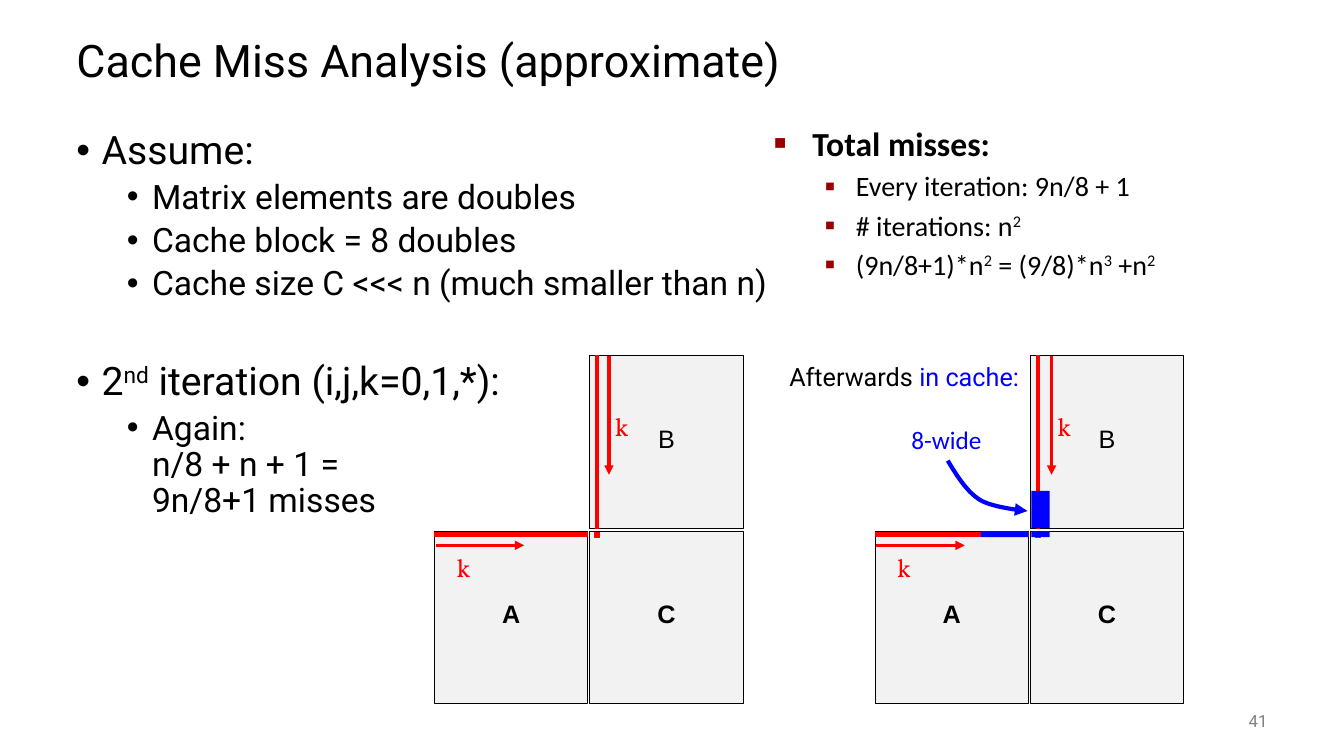
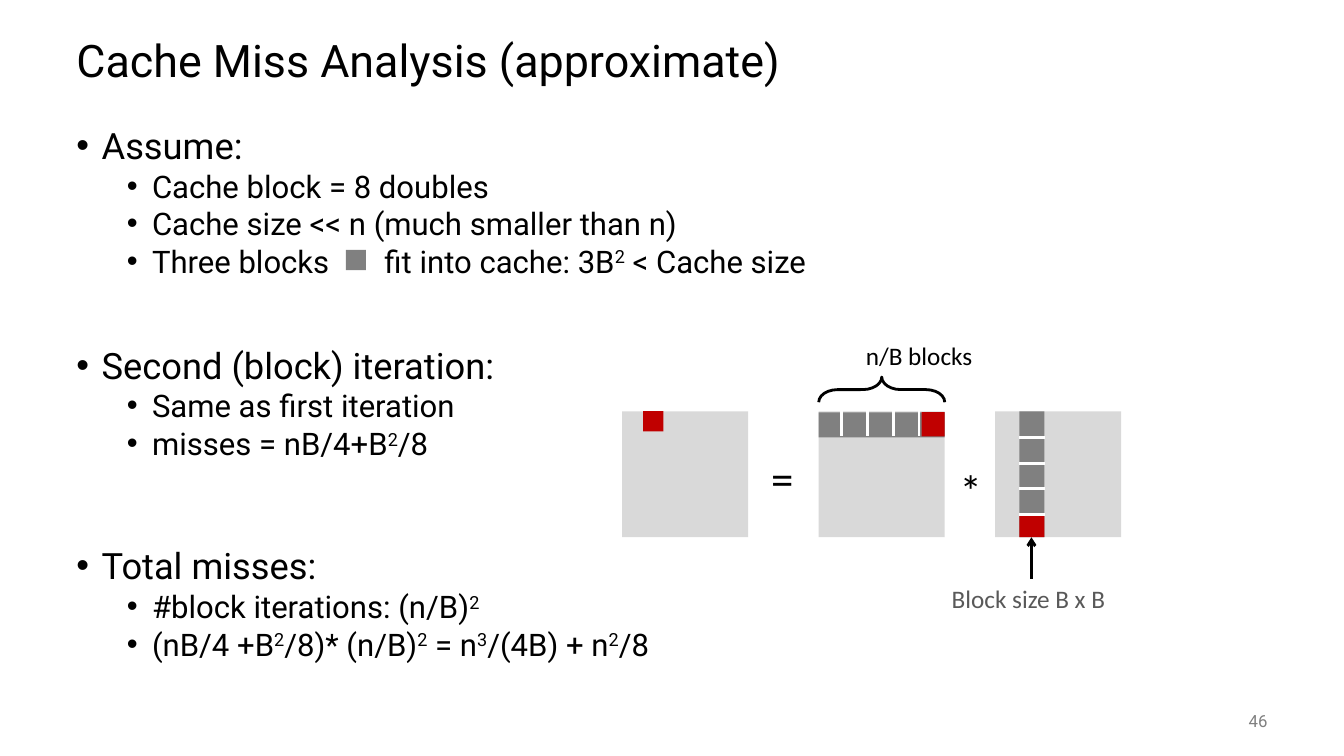
from dataclasses import dataclass

from lxml import etree
from pptx import Presentation
from pptx.dml.color import RGBColor
from pptx.enum import shapes, text
from pptx.oxml.ns import qn
from pptx.util import Inches, Pt


@dataclass(frozen=True)
class Theme:
    black: str = "000000"
    white: str = "FFFFFF"
    red: str = "FF0000"
    blue: str = "0000FF"
    matrix: str = "F2F2F2"
    panel: str = "D9D9D9"
    block: str = "808080"
    current: str = "C00000"
    caption: str = "595959"
    bullet: str = "990000"
    main: str = "Roboto"
    note: str = "Calibri"
    letter: str = "Arial"
    index: str = "Vollkorn"
    title_size: float = 32
    label_size: float = 18
    page_size: float = 12


THEME = Theme()
TITLE = "Cache Miss Analysis (approximate)"

NAIVE_OUTLINE = {
    1.25: [
        (0, "Assume:"),
        (1, "Matrix elements are doubles"),
        (1, "Cache block = 8 doubles"),
        (1, "Cache size C <<< n (much smaller than n)"),
    ],
    3.54: [
        (0, "2^nd^ iteration (i,j,k=0,1,*):"),
        (1, "Again:\nn/8 + n + 1 =\n9n/8+1 misses"),
    ],
}
NAIVE_TOTAL = [
    (0, "Total misses:"),
    (1, "Every iteration: 9n/8 + 1"),
    (1, "# iterations: n^2^"),
    (1, "(9n/8+1)*n^2^ = (9/8)*n^3^ +n^2^"),
]
BLOCKED_OUTLINE = {
    1.25: [
        (0, "Assume:"),
        (1, "Cache block = 8 doubles"),
        (1, "Cache size << n (much smaller than n)"),
        (1, "Three blocks^ ^fit into cache: 3B^2^ < Cache size"),
    ],
    3.43: [
        (0, "Second (block) iteration:"),
        (1, "Same as first iteration"),
        (1, "misses = nB/4+B^2^/8"),
    ],
    5.42: [
        (0, "Total misses:"),
        (1, "#block iterations: (n/B)^2^"),
        (1, "(nB/4 +B^2^/8)* (n/B)^2^ = n^3^/(4B) + n^2^/8"),
    ],
}

NAIVE_LEVELS = [
    dict(size=28, margin=0.25, hang=0.25, before=14, spacing=0.9, bullet="•"),
    dict(size=24, margin=0.75, hang=0.25, before=5, spacing=0.9, bullet="•"),
]
BLOCKED_LEVELS = [
    dict(NAIVE_LEVELS[0], size=25.9, spacing=0.82),
    dict(NAIVE_LEVELS[1], size=22.2, spacing=0.82),
]
TOTAL_LEVELS = [
    dict(size=24, bold=True, margin=0.38, hang=0.38, before=4.8,
         bullet="■", bullet_color=THEME.bullet, bullet_scale=60),
    dict(size=20, margin=0.81, hang=0.31, before=4,
         bullet="▪", bullet_color=THEME.bullet, bullet_scale=110),
]

ICON_GAP = 33.8
MATRIX_LETTERS = [("A", 0, 1, True), ("B", 1, 0, False), ("C", 1, 1, True)]


def child(parent, tag, **attributes):
    return etree.SubElement(parent, qn(tag), attributes)


def add_bullet(paragraph, mark, color, scale):
    properties = paragraph._p.get_or_add_pPr()
    if color:
        child(child(properties, "a:buClr"), "a:srgbClr", val=color)
    if scale:
        child(properties, "a:buSzPct", val=str(scale * 1000))
    child(properties, "a:buFont", typeface="Arial")
    child(properties, "a:buChar", char=mark)


def write(paragraph, words, *, size=THEME.label_size, font=THEME.main,
          color=THEME.black, accent=None, bold=False, align=None, margin=0,
          hang=0, before=0, spacing=None, bullet=None, bullet_color=None,
          bullet_scale=None):
    if align is not None:
        paragraph.alignment = align
    if spacing:
        paragraph.line_spacing = spacing
    paragraph.space_before = Pt(before)
    if bullet:
        properties = paragraph._p.get_or_add_pPr()
        properties.set("marL", str(Inches(margin)))
        properties.set("indent", str(Inches(-hang)))
        add_bullet(paragraph, bullet, bullet_color, bullet_scale)
    for position, piece in enumerate(words.split("^")):
        marked = position % 2 == 1
        for row, line in enumerate(piece.split("\n")):
            if row:
                paragraph.add_line_break()
            if not line:
                continue
            run = paragraph.add_run()
            run.text = line
            run.font.size, run.font.name, run.font.bold = Pt(size), font, bold
            tint = accent if marked and accent else color
            run.font.color.rgb = RGBColor.from_string(tint)
            if marked and line == " ":
                run._r.get_or_add_rPr().set("spc", str(round(ICON_GAP * 100)))
            elif marked and not accent:
                run._r.get_or_add_rPr().set("baseline", "30000")


def add_text(slide, words, at, *, wrap=True, anchor=text.MSO_ANCHOR.TOP, **style):
    frame = slide.shapes.add_textbox(*map(Inches, at)).text_frame
    frame.word_wrap = wrap
    frame.vertical_anchor = anchor
    write(frame.paragraphs[0], words, **style)
    return frame


def add_outline(slide, items, at, levels, font=THEME.main):
    (_, heading), *rest = items
    frame = add_text(slide, heading, at, font=font, **dict(levels[0], before=0))
    for level, words in rest:
        paragraph = frame.add_paragraph()
        paragraph.level = level
        write(paragraph, words, font=font, **levels[level])


def add_rect(slide, at, fill, border=None):
    rect = slide.shapes.add_shape(shapes.MSO_SHAPE.RECTANGLE, *map(Inches, at))
    rect.shadow.inherit = False
    rect.fill.solid()
    rect.fill.fore_color.rgb = RGBColor.from_string(fill)
    if border:
        set_line(rect, border, 0.75)
    else:
        rect.line.fill.background()
    return rect


def set_line(shape, color, width, head=None):
    shape.line.color.rgb = RGBColor.from_string(color)
    shape.line.width = Pt(width)
    if head:
        child(shape.line._get_or_add_ln(), "a:tailEnd", type=head)


def add_line(slide, start, end, color, width, head=None):
    line = slide.shapes.add_connector(
        shapes.MSO_CONNECTOR.STRAIGHT, *map(Inches, (*start, *end)))
    set_line(line, color, width, head)
    child(line._element.spPr, "a:effectLst")


def add_curve(slide, controls, color, width, head, steps=20):
    weights = (1, 3, 3, 1)
    points = []
    for curve in controls:
        for step in range(steps + 1):
            t = step / steps
            points.append(tuple(
                Inches(sum(w * (1 - t) ** (3 - i) * t ** i * p[axis]
                           for i, (w, p) in enumerate(zip(weights, curve))))
                for axis in (0, 1)))
    builder = slide.shapes.build_freeform(*points[0])
    builder.add_line_segments(points[1:], close=False)
    curve = builder.convert_to_shape()
    curve.shadow.inherit = False
    curve.fill.background()
    set_line(curve, color, width, head)


def new_slide(deck, number):
    slide = deck.slides.add_slide(deck.slide_layouts[6])
    middle = text.MSO_ANCHOR.MIDDLE
    add_text(slide, TITLE, (0.66, 0.25, 12, 0.75), anchor=middle,
             size=THEME.title_size, spacing=0.9)
    add_text(slide, str(number), (11.67, 6.95, 1, 0.4), anchor=middle,
             size=THEME.page_size, color=THEME.block, align=text.PP_ALIGN.RIGHT)
    return slide


def add_matrices(slide, left, arrow):
    top, width, height = 3.53, 1.52, 1.71
    column, row = left + 1.54, top + 1.74
    for letter, across, down, bold in MATRIX_LETTERS:
        box = add_rect(slide, ((left, column)[across], (top, row)[down], width, height),
                       THEME.matrix, THEME.black)
        frame = box.text_frame
        frame.vertical_anchor = text.MSO_ANCHOR.MIDDLE
        frame.margin_bottom = Inches(0.13)
        write(frame.paragraphs[0], letter, font=THEME.letter, bold=bold,
              align=text.PP_ALIGN.CENTER)
    for stripe in [(column + 0.06, top, 0.03, height),
                   (left, row + 0.01, width, 0.04),
                   (column + 0.05, row + 0.01, 0.05, 0.05)]:
        add_rect(slide, stripe, THEME.red, THEME.red)
    for start, end in [((left + 0.01, 5.41), (left + 0.89, 5.41)),
                       ((arrow, top), (arrow, 4.71))]:
        add_line(slide, start, end, THEME.red, 2.25, "triangle")
    for x, y in [(left + 0.12, 5.43), (arrow - 0.04, 4.03)]:
        add_text(slide, "k", (x, y, 0.36, 0.41), font=THEME.index, color=THEME.red)


def build_naive(deck):
    slide = new_slide(deck, 41)
    for top, items in NAIVE_OUTLINE.items():
        add_outline(slide, items, (0.66, top, 7.2, 2), NAIVE_LEVELS)
    add_outline(slide, NAIVE_TOTAL, (7.58, 1.17, 4.08, 2.17), TOTAL_LEVELS, THEME.note)
    for left, arrow in [(4.31, 6.04), (8.68, 10.43)]:
        add_matrices(slide, left, arrow)
    add_text(slide, "8-wide", (8.94, 4.16, 0.92, 0.4), wrap=False,
             font=THEME.note, color=THEME.blue)
    add_curve(slide, [
        [(9.4, 4.57), (9.49, 4.72), (9.59, 4.88), (9.72, 4.96)],
        [(9.72, 4.96), (9.85, 5.04), (10.19, 5.07), (10.19, 5.07)],
    ], THEME.blue, 3, "triangle")
    for cached in [(9.73, 5.27, 0.47, 0.06), (10.23, 4.87, 0.18, 0.37),
                   (10.23, 5.27, 0.18, 0.06)]:
        add_rect(slide, cached, THEME.blue)
    add_text(slide, "Afterwards ^in cache:^", (7.73, 3.54, 2.49, 0.4), wrap=False,
             accent=THEME.blue)


def build_blocked(deck):
    slide = new_slide(deck, 46)
    for top, items in BLOCKED_OUTLINE.items():
        add_outline(slide, items, (0.66, top, 8, 1.6), BLOCKED_LEVELS)
    add_rect(slide, (3.43, 2.48, 0.2, 0.2), THEME.block)

    top, side, cell, pitch = 4.08, 1.25, 0.25, 0.255
    result, row, column = 6.17, 8.12, 9.87
    strip = column + 0.24
    for left in (result, row, column):
        add_rect(slide, (left, top, side, side), THEME.panel)
    add_rect(slide, (row, top + 0.01, side, cell), THEME.block)
    add_rect(slide, (strip, top, cell, side), THEME.block)
    for step in range(4):
        x, y = row + 0.23 + step * pitch, top + 0.26 + step * pitch
        add_line(slide, (x, top), (x, top + cell), THEME.white, 2)
        add_line(slide, (strip, y), (strip + cell, y), THEME.white, 2)
    for current in [(result + 0.21, top, 0.2, 0.2), (9.14, top + 0.01, 0.23, 0.24),
                    (strip, 5.12, cell, 0.21)]:
        add_rect(slide, current, THEME.current)

    brace = slide.shapes.add_shape(
        shapes.MSO_SHAPE.LEFT_BRACE, *map(Inches, (8.62, 3.24, cell, side)))
    brace.shadow.inherit = False
    brace.rotation = 90
    brace.adjustments[0] = 0.75
    brace.fill.background()
    set_line(brace, THEME.black, 2)
    add_line(slide, (10.23, 5.74), (10.23, 5.33), THEME.black, 2, "arrow")

    for words, at, size, color in [
        ("=", (7.55, 4.42, 0.43, 0.64), THEME.title_size, THEME.black),
        ("*", (9.42, 4.54, 0.43, 0.64), THEME.title_size, THEME.black),
        ("n/B blocks", (8.49, 3.33, 1.3, 0.4), THEME.label_size, THEME.black),
        ("Block size B x B", (9.34, 5.74, 1.78, 0.4), THEME.label_size, THEME.caption),
    ]:
        add_text(slide, words, at, wrap=False, font=THEME.note, size=size, color=color)


def main():
    deck = Presentation()
    deck.slide_width, deck.slide_height = Inches(13.33), Inches(7.5)
    build_naive(deck)
    build_blocked(deck)
    deck.save("out.pptx")


if __name__ == "__main__":
    main()
